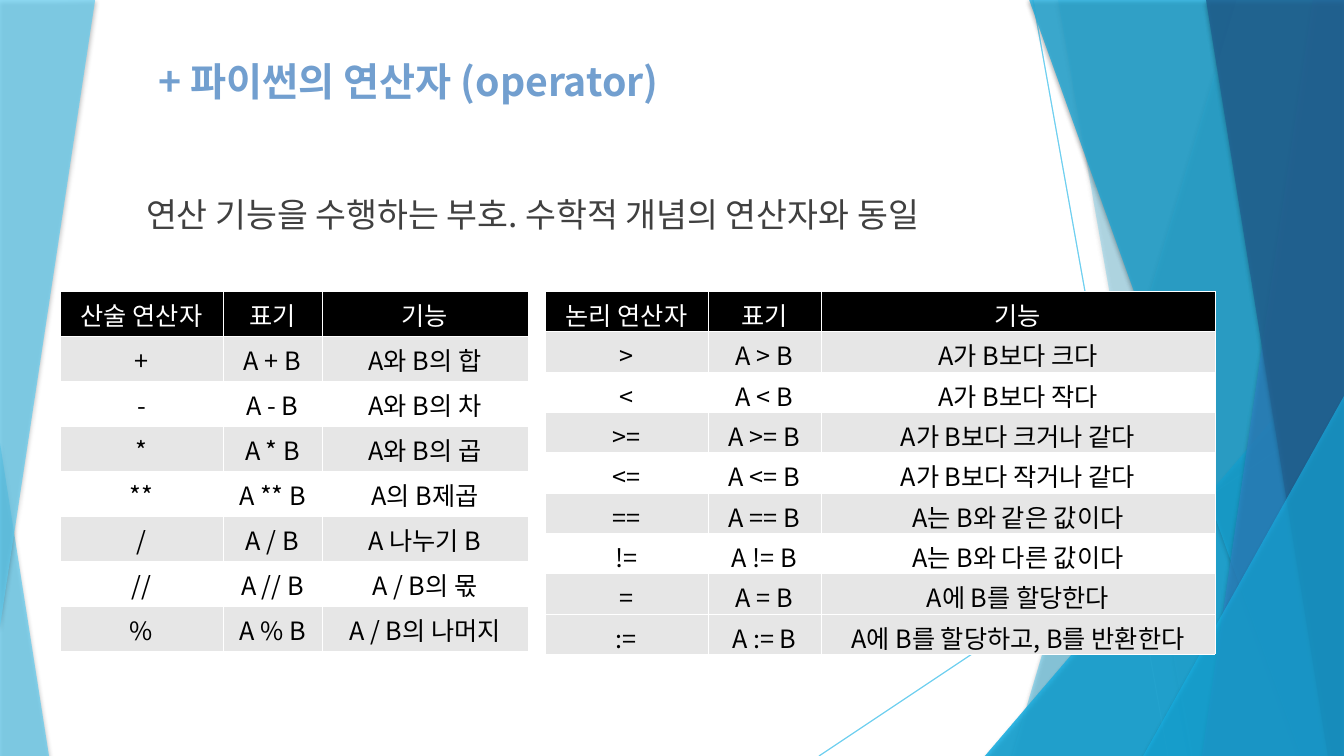
from dataclasses import dataclass

import pptx
import pptx.util
import pptx.dml.color
import pptx.enum.shapes
import pptx.enum.text
import pptx.oxml
import pptx.oxml.ns

SCALE = 914400 / 100.8  # EMU in one px
WIDTH, HEIGHT = 1344, 756


@dataclass(frozen=True)
class Theme:
    font: str = "Noto Sans CJK KR"
    title_size: int = 28
    body_size: int = 24
    cell_size: int = 18
    title: str = "729FCF"
    body: str = "404040"
    black: str = "000000"
    white: str = "FFFFFF"
    stripe: str = "E6E6E6"
    sky: str = "5FCBEF"
    cyan: str = "17B0E4"
    blue: str = "2E83C3"
    navy: str = "226292"


def px(length):
    return pptx.util.Emu(round(length * SCALE))


def rgb(color):
    return pptx.dml.color.RGBColor.from_string(color)


def xml(tag, content="", **attributes):
    listed = "".join(f' {name}="{value}"' for name, value in attributes.items())
    namespace = pptx.oxml.ns.nsdecls("a")
    return pptx.oxml.parse_xml(f"<a:{tag} {namespace}{listed}>{content}</a:{tag}>")


def set_alpha(element, percent):
    color = next(element.iter(pptx.oxml.ns.qn("a:srgbClr")))
    color.append(xml("alpha", val=percent * 1000))


def write_text(frame, text, font, size, color, bold=False, align=None,
               line_spacing=None, before=None, indent=0):
    para = frame.paragraphs[0]
    para.alignment = align
    para.line_spacing = line_spacing
    if before is not None:
        para.space_before = pptx.util.Pt(before)
    if indent:
        properties = para._p.get_or_add_pPr()
        properties.set("marL", str(px(indent)))
        properties.set("indent", "0")
    span = para.add_run()
    span.text = text
    span.font.size = pptx.util.Pt(size)
    span.font.bold = bold
    span.font.color.rgb = rgb(color)
    span.font.name = font
    span._r.get_or_add_rPr().append(xml("ea", typeface=font))


class Painter:
    def __init__(self, page, theme):
        self.page = page
        self.theme = theme

    def glass(self, shape, color, alpha):
        """Translucent fill without outline, over a soft shadow."""
        shape.fill.solid()
        shape.fill.fore_color.rgb = rgb(color)
        shape.line.fill.background()
        shape.shadow.inherit = False
        properties = shape._element.spPr
        set_alpha(properties, alpha)
        shade = '<a:srgbClr val="000000"><a:alpha val="35000"/></a:srgbClr>'
        effects = properties.find(pptx.oxml.ns.qn("a:effectLst"))
        effects.append(xml("outerShdw", shade, blurRad=38100, dist=25400,
                           dir=5400000, rotWithShape=0))

    def polygon(self, points, color, alpha):
        builder = self.page.shapes.build_freeform(*points[0], scale=SCALE)
        builder.add_line_segments(points[1:], close=True)
        self.glass(builder.convert_to_shape(), color, alpha)

    def triangle(self, left, top, width, height, apex, color, alpha):
        kind = pptx.enum.shapes.MSO_SHAPE.ISOSCELES_TRIANGLE
        shape = self.page.shapes.add_shape(kind, px(left), px(top), px(width), px(height))
        shape.adjustments[0] = apex
        self.glass(shape, color, alpha)

    def line(self, start, end, color, alpha):
        kind = pptx.enum.shapes.MSO_CONNECTOR.STRAIGHT
        connector = self.page.shapes.add_connector(kind, *map(px, start + end))
        connector.line.width = pptx.util.Pt(0.75)
        connector.line.color.rgb = rgb(color)
        properties = connector._element.spPr
        set_alpha(properties, alpha)
        properties.append(xml("effectLst"))

    def text(self, left, top, width, height, text, anchor, **style):
        box = self.page.shapes.add_textbox(px(left), px(top), px(width), px(height))
        frame = box.text_frame
        frame.word_wrap = True
        frame.vertical_anchor = anchor
        frame.margin_left = frame.margin_right = 0
        frame.margin_top = frame.margin_bottom = 0
        write_text(frame, text, self.theme.font, **style)

    def table(self, left, top, widths, row_height, rows, fills):
        frame = self.page.shapes.add_table(len(rows), len(widths), px(left), px(top),
                                           px(sum(widths)), px(row_height * len(rows)))
        table = frame.table
        table.first_row = table.horz_banding = False
        for column, width in zip(table.columns, widths):
            column.width = px(width)
        for index, (values, fill) in enumerate(zip(rows, fills)):
            table.rows[index].height = px(row_height)
            color = self.theme.black if index else self.theme.white
            for column, value in enumerate(values):
                self.cell(table.cell(index, column), value, fill, color)

    def cell(self, cell, value, fill, color):
        cell.fill.solid()
        cell.fill.fore_color.rgb = rgb(fill)
        cell.vertical_anchor = pptx.enum.text.MSO_ANCHOR.MIDDLE
        write_text(cell.text_frame, value, self.theme.font, self.theme.cell_size, color,
                   align=pptx.enum.text.PP_ALIGN.CENTER)
        stroke = f'<a:solidFill><a:srgbClr val="{self.theme.white}"/></a:solidFill>'
        for position, side in enumerate(("lnL", "lnR", "lnT", "lnB")):
            cell._tc.get_or_add_tcPr().insert(position, xml(side, stroke, w=762))


def draw_right_facets(painter):
    theme = painter.theme

    def band(top_x, bottom_x, color, alpha):
        corners = [(top_x, -1), (WIDTH, -1), (WIDTH, HEIGHT), (bottom_x, HEIGHT)]
        painter.polygon(corners, color, alpha)

    painter.line((1033, 0), (1168, HEIGHT), theme.sky, 70)
    painter.line((WIDTH, 406), (819, HEIGHT), theme.sky, 70)
    band(1237, 1012, theme.sky, 36)
    band(1058, 1191, theme.sky, 20)
    painter.triangle(985, 336, 359, 420, 1, theme.cyan, 66)
    band(1029, 1301, theme.cyan, 50)
    band(1313, 1202, theme.blue, 70)
    band(1206, 1328, theme.navy, 80)
    painter.triangle(1143, 396, 201, 360, 1, theme.cyan, 66)


ARITHMETIC = [
    ("산술 연산자", "표기", "기능"),
    ("+", "A + B", "A와 B의 합"),
    ("-", "A - B", "A와 B의 차"),
    ("*", "A * B", "A와 B의 곱"),
    ("**", "A ** B", "A의 B제곱"),
    ("/", "A / B", "A 나누기 B"),
    ("//", "A // B", "A / B의 몫"),
    ("%", "A % B", "A / B의 나머지"),
]
LOGICAL = [
    ("논리 연산자", "표기", "기능"),
    (">", "A > B", "A가 B보다 크다"),
    ("<", "A < B", "A가 B보다 작다"),
    (">=", "A >= B", "A가 B보다 크거나 같다"),
    ("<=", "A <= B", "A가 B보다 작거나 같다"),
    ("==", "A == B", "A는 B와 같은 값이다"),
    ("!=", "A != B", "A는 B와 다른 값이다"),
    ("=", "A = B", "A에 B를 할당한다"),
    (":=", "A := B", "A에 B를 할당하고, B를 반환한다"),
]


def main():
    deck = pptx.Presentation()
    deck.slide_width, deck.slide_height = px(WIDTH), px(HEIGHT)
    theme = Theme()
    painter = Painter(deck.slides.add_slide(deck.slide_layouts[6]), theme)

    # Background facets, the right side layered twice
    draw_right_facets(painter)
    painter.triangle(0, 443, 49, 313, 0, theme.sky, 70)
    painter.polygon([(0, 0), (95, -1), (95, 1), (0, 627)], theme.sky, 70)
    draw_right_facets(painter)

    # Definition and title
    anchor = pptx.enum.text.MSO_ANCHOR
    painter.text(99, 199, 992, 494, "연산 기능을 수행하는 부호. 수학적 개념의 연산자와 동일",
                 anchor.TOP, size=theme.body_size, color=theme.body,
                 line_spacing=0.9, before=14.2, indent=47)
    painter.text(159, 33, 816, 102, "+ 파이썬의 연산자 (operator)", anchor.MIDDLE,
                 size=theme.title_size, color=theme.title, bold=True, line_spacing=0.9)

    # Operator tables: dark header, then alternating stripes
    fills = [theme.black] + [theme.stripe, theme.white] * 3 + [theme.stripe] * 2
    painter.table(60, 291, (163, 99, 206), 45, ARITHMETIC, fills)
    painter.table(545, 291, (163, 113, 394), 20, LOGICAL, fills)

    deck.save("out.pptx")


if __name__ == "__main__":
    main()
